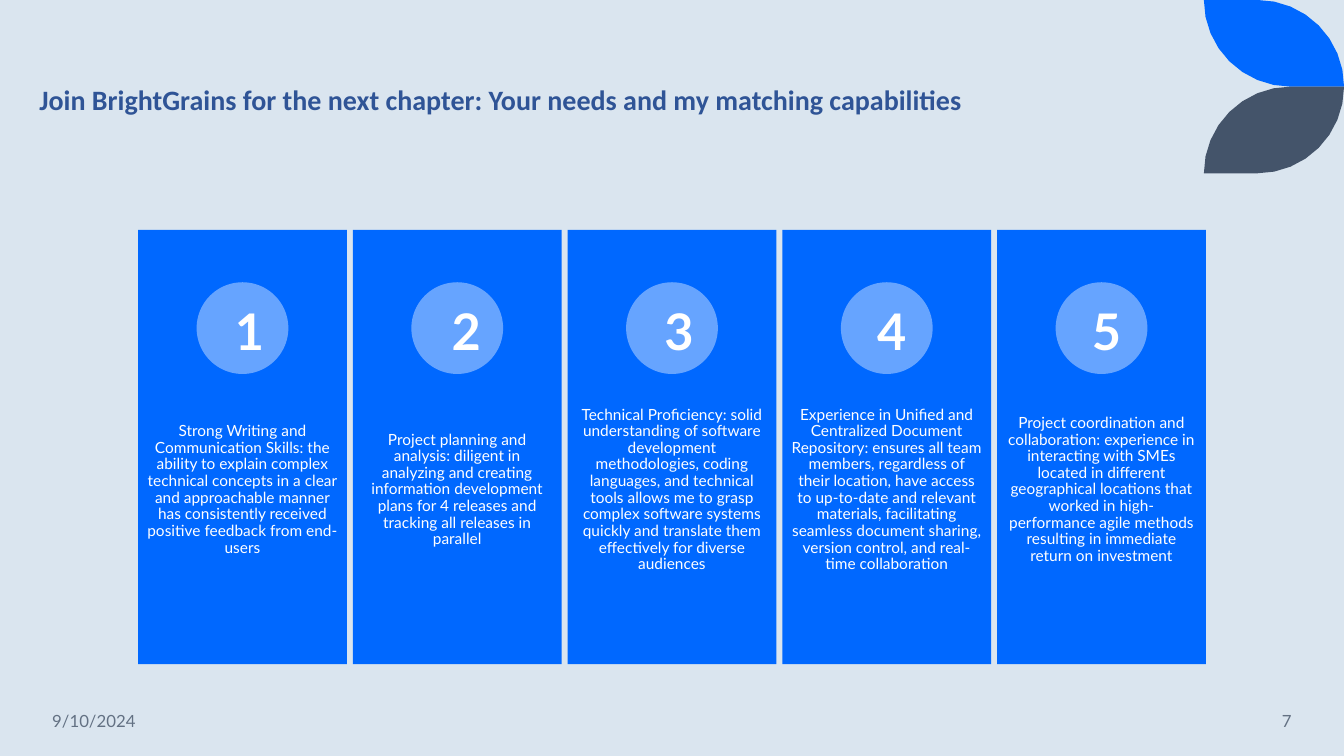
"""Build a slide of five numbered capability cards with a leaf ornament."""
import math
from pptx import Presentation
from pptx import util as u
from pptx.dml.color import RGBColor
from pptx.enum import shapes, text

WIDTH, HEIGHT = 13.33, 7.5
BLUE, SLATE, PALE, WHITE = "0068FF", "44546A", "66A4FF", "FFFFFF"
BACKDROP, HEADING_BLUE, GREY = "DAE5EF", "2F5496", "637183"

HEADING = "Join BrightGrains for the next chapter: Your needs and my matching capabilities"
CAPABILITIES = [
    (2.23, "Strong Writing and Communication Skills: the ability to explain complex technical "
     "concepts in a clear and approachable manner has consistently received positive "
     "feedback from end-users"),
    (4.38, "Project planning and analysis: diligent in analyzing and creating information "
     "development plans for 4 releases and tracking all releases in parallel"),
    (6.49, "Technical Proficiency: solid understanding of software development methodologies, "
     "coding languages, and technical tools allows me to grasp complex software systems "
     "quickly and translate them effectively for diverse audiences"),
    (8.6, "Experience in Unified and Centralized Document Repository: ensures all team "
     "members, regardless of their location, have access to up-to-date and relevant "
     "materials, facilitating seamless document sharing, version control, and real-time "
     "collaboration"),
    (10.73, "Project coordination and collaboration: experience in interacting with SMEs "
     "located in different geographical locations that worked in high-performance agile "
     "methods resulting in immediate return on investment"),
]
FOOTERS = [
    ("9/10/2024", 0.42, 1.86, text.PP_ALIGN.LEFT),
    ("7", 11.1, 1.81, text.PP_ALIGN.RIGHT),
]

CARDS_LEFT, CARD_TOP, CARD_WIDTH, CARD_HEIGHT, CARD_STEP = 1.37, 2.28, 2.07, 4.31, 2.13
BADGE = 0.91
LEAF_WIDTH, LEAF_HEIGHT, ARC_STEPS = 1.39, 0.86, 8


def colour(hex_code):
    return RGBColor.from_string(hex_code)


def paint(shape, hex_code):
    shape.fill.solid()
    shape.fill.fore_color.rgb = colour(hex_code)
    shape.line.fill.background()
    shape.shadow.inherit = False


def place(shape, *box):
    shape.left, shape.top, shape.width, shape.height = map(u.Inches, box)


def write(shape, words, size, hex_code, align, anchor, font="Lato", bold=False,
          spacing=1.0, inset=None):
    frame = shape.text_frame
    frame.word_wrap = True
    frame.auto_size = text.MSO_AUTO_SIZE.NONE
    frame.vertical_anchor = anchor
    if inset is not None:
        frame.margin_left = frame.margin_right = u.Inches(inset)
        frame.margin_top = frame.margin_bottom = u.Inches(inset)
    paragraph = frame.paragraphs[0]
    paragraph.alignment = align
    paragraph.line_spacing = spacing
    run = paragraph.add_run()
    run.text = words
    run.font.name, run.font.size, run.font.bold = font, u.Pt(size), bold
    run.font.color.rgb = colour(hex_code)


def label(slide, box, *args, **style):
    write(slide.shapes.add_textbox(*map(u.Inches, box)), *args, **style)


def add_leaf(slide, hex_code, edge, direction):
    left, radius = WIDTH - LEAF_WIDTH, LEAF_HEIGHT
    angles = [math.pi / 2 * step / ARC_STEPS for step in range(ARC_STEPS + 1)]
    outer = [(WIDTH - radius + radius * math.sin(a), radius - radius * math.cos(a))
             for a in angles]
    inner = [(left + radius - radius * math.sin(a), radius * math.cos(a)) for a in angles]
    outline = [(u.Inches(x), u.Inches(edge + direction * y)) for x, y in outer + inner]
    builder = slide.shapes.build_freeform(*outline[0])
    builder.add_line_segments(outline[1:], close=True)
    paint(builder.convert_to_shape(), hex_code)


def add_card(slide, index, digit_left, capability):
    left = CARDS_LEFT + index * CARD_STEP
    card = slide.shapes.add_shape(
        shapes.MSO_SHAPE.RECTANGLE,
        *map(u.Inches, (left, CARD_TOP, CARD_WIDTH, CARD_HEIGHT)))
    paint(card, BLUE)
    badge = slide.shapes.add_shape(
        shapes.MSO_SHAPE.OVAL,
        *map(u.Inches, (left + (CARD_WIDTH - BADGE) / 2, 2.8, BADGE, BADGE)))
    paint(badge, PALE)
    label(slide, (left, 4, CARD_WIDTH, 1.72), capability, 11, WHITE,
          text.PP_ALIGN.CENTER, text.MSO_ANCHOR.MIDDLE, spacing=0.9, inset=0.09)
    label(slide, (digit_left, 2.93, 0.38, 0.71), str(index + 1), 36, WHITE,
          text.PP_ALIGN.CENTER, text.MSO_ANCHOR.TOP, bold=True)


def main():
    deck = Presentation()
    deck.slide_width, deck.slide_height = u.Inches(WIDTH), u.Inches(HEIGHT)
    slide = deck.slides.add_slide(deck.slide_layouts[5])
    slide.background.fill.solid()
    slide.background.fill.fore_color.rgb = colour(BACKDROP)

    add_leaf(slide, BLUE, 0, 1)
    add_leaf(slide, SLATE, 2 * LEAF_HEIGHT, -1)

    heading = slide.shapes.title
    place(heading, 0.29, 0.26, 10.69, 0.95)
    write(heading, HEADING, 20, HEADING_BLUE, text.PP_ALIGN.LEFT, text.MSO_ANCHOR.BOTTOM,
          font="Calibri", bold=True, spacing=0.9)

    for index, (digit_left, capability) in enumerate(CAPABILITIES):
        add_card(slide, index, digit_left, capability)
    for words, left, width, align in FOOTERS:
        label(slide, (left, 6.95, width, 0.4), words, 12, GREY, align,
              text.MSO_ANCHOR.MIDDLE)
    deck.save("out.pptx")


if __name__ == "__main__":
    main()
